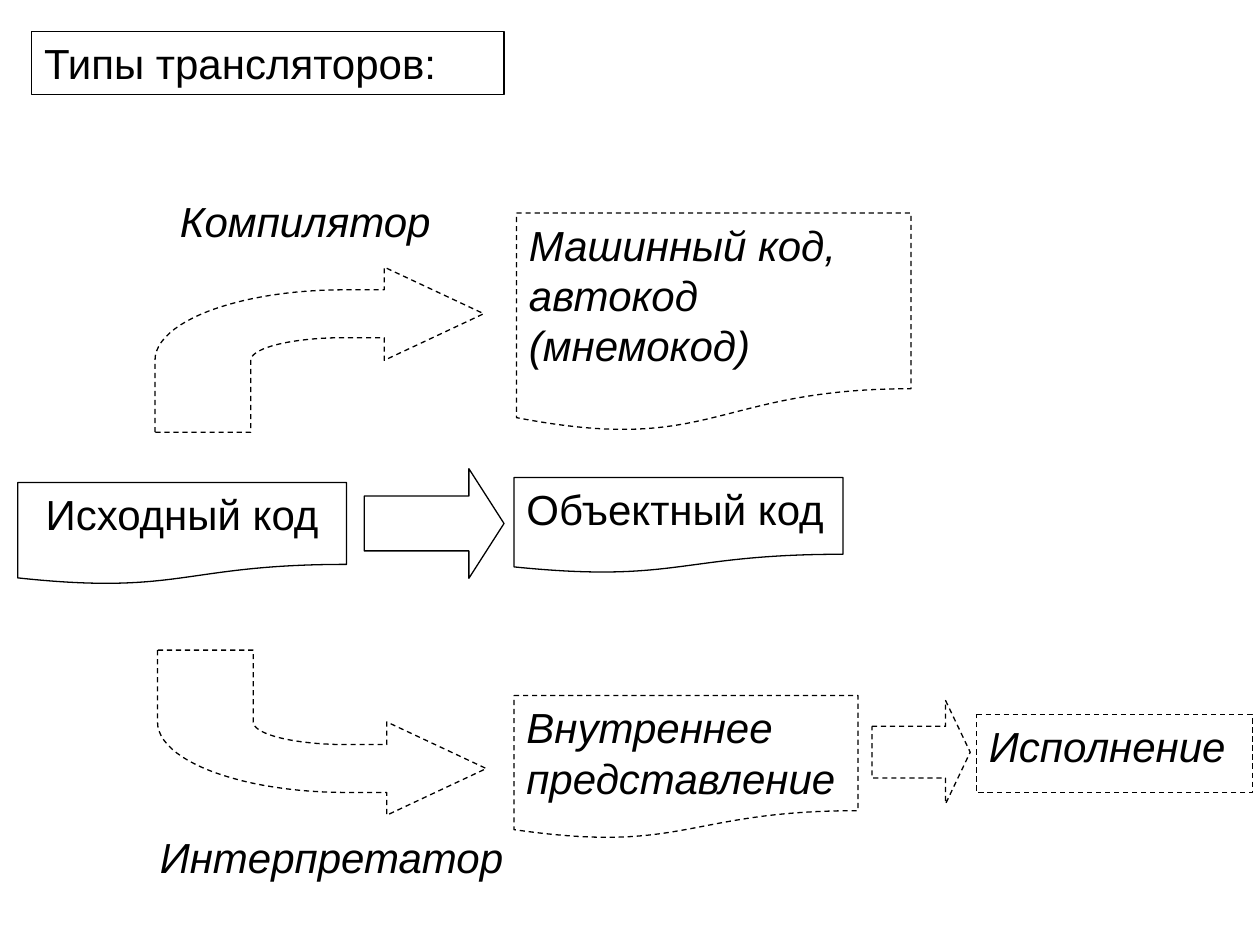
from dataclasses import dataclass
from math import cos, pi, sin
from typing import Optional

from pptx import Presentation
from pptx.dml.color import RGBColor
from pptx.enum.dml import MSO_LINE
from pptx.enum.shapes import MSO_SHAPE
from pptx.enum.text import MSO_ANCHOR, MSO_AUTO_SIZE, PP_ALIGN
from pptx.util import Inches, Pt

EMU_PER_PX = 9144  # 100 px to the inch
BLACK = RGBColor(0, 0, 0)
WHITE = RGBColor(255, 255, 255)
DOCUMENT = MSO_SHAPE.FLOWCHART_DOCUMENT
PROCESS = MSO_SHAPE.FLOWCHART_PROCESS
RECTANGLE = MSO_SHAPE.RECTANGLE
RIGHT_ARROW = MSO_SHAPE.RIGHT_ARROW
DASH = MSO_LINE.DASH
LEFT, CENTER = PP_ALIGN.LEFT, PP_ALIGN.CENTER
TITLE_ONLY = 5
CURVE_STEPS = 24


@dataclass
class Node:
    kind: int
    left: int
    top: int
    width: int
    height: int
    text: str = ""
    dashed: bool = True
    outlined: bool = True
    align: int = LEFT
    head: Optional[float] = None  # arrowhead length


@dataclass
class BentArrow:
    left: int
    tail: int  # y of the open end
    direction: int  # -1 bends upwards, 1 downwards


NODES = [
    # Stages and labels
    Node(RECTANGLE, 117, 655, 308, 53, "Интерпретатор", outlined=False),
    Node(DOCUMENT, 14, 383, 261, 81, "Исходный код", dashed=False, align=CENTER),
    Node(DOCUMENT, 408, 379, 261, 76, "Объектный код", dashed=False),
    Node(DOCUMENT, 410, 169, 313, 174, "Машинный код, автокод (мнемокод)"),
    Node(DOCUMENT, 408, 552, 273, 114, "Внутреннее представление"),
    Node(PROCESS, 775, 567, 219, 62, "Исполнение"),
    Node(RECTANGLE, 133, 150, 234, 50, "Компилятор", outlined=False),
    # Straight arrows
    Node(RIGHT_ARROW, 289, 372, 111, 87, dashed=False, head=0.32),
    Node(RIGHT_ARROW, 692, 556, 78, 82, head=0.25),
]
BENT_ARROWS = [BentArrow(123, 343, -1), BentArrow(125, 516, 1)]


def px(value: float) -> int:
    return round(value * EMU_PER_PX)


def place(shape, left: int, top: int, width: int, height: int) -> None:
    shape.left, shape.top = px(left), px(top)
    shape.width, shape.height = px(width), px(height)


def style_outline(shape, dashed: bool) -> None:
    shape.line.color.rgb = BLACK
    shape.line.width = Pt(0.75)
    if dashed:
        shape.line.dash_style = DASH


def fill_white(shape) -> None:
    shape.shadow.inherit = False
    shape.fill.solid()
    shape.fill.fore_color.rgb = WHITE


def write(shape, text: str, italic: bool, align: int) -> None:
    frame = shape.text_frame
    frame.text = text
    frame.word_wrap = True
    frame.auto_size = MSO_AUTO_SIZE.NONE
    frame.vertical_anchor = MSO_ANCHOR.TOP
    frame.margin_left = frame.margin_right = px(10)
    frame.margin_top = frame.margin_bottom = px(5)
    para = frame.paragraphs[0]
    para.alignment = align
    font = para.runs[0].font
    font.name, font.size, font.italic = "Arial", Pt(24), italic
    font.color.rgb = BLACK


def draw_node(page, node: Node) -> None:
    shape = page.shapes.add_shape(
        node.kind, px(node.left), px(node.top), px(node.width), px(node.height))
    fill_white(shape)
    if node.outlined:
        style_outline(shape, node.dashed)
    else:
        shape.line.fill.background()
    if node.head is not None:
        shape.adjustments[0] = 0.5
        shape.adjustments[1] = node.head
    if node.text:
        write(shape, node.text, node.dashed, node.align)


def quarter_ellipse(radius_x: int, radius_y: int) -> list[tuple[float, float]]:
    """Points rising from the shaft to the elbow's end at (150, 57 + radius_y)."""
    angles = [pi / 2 * step / CURVE_STEPS for step in range(CURVE_STEPS + 1)]
    return [(150 - radius_x * cos(a), 57 + radius_y * sin(a)) for a in angles]


def draw_bent_arrow(page, arrow: BentArrow) -> None:
    # Offsets are measured from the tail's left corner
    outline = [(0, 0), *quarter_ellipse(150, 56),
               (182, 113), (182, 131), (261, 94), (182, 57), (182, 75),
               *reversed(quarter_ellipse(74, 18)), (76, 0)]
    points = [(px(arrow.left + x), px(arrow.tail + arrow.direction * y))
              for x, y in outline]
    builder = page.shapes.build_freeform(*points[0])
    builder.add_line_segments(points[1:], close=True)
    shape = builder.convert_to_shape()
    fill_white(shape)
    style_outline(shape, dashed=True)


def main() -> None:
    deck = Presentation()
    deck.slide_width, deck.slide_height = Inches(10), Inches(7.5)
    page = deck.slides.add_slide(deck.slide_layouts[TITLE_ONLY])

    # Title
    title = page.shapes.title
    place(title, 25, 25, 375, 50)
    style_outline(title, dashed=False)
    write(title, "Типы трансляторов:", italic=False, align=LEFT)

    # Diagram
    for node in NODES:
        draw_node(page, node)
    for arrow in BENT_ARROWS:
        draw_bent_arrow(page, arrow)

    deck.save("out.pptx")


if __name__ == "__main__":
    main()
